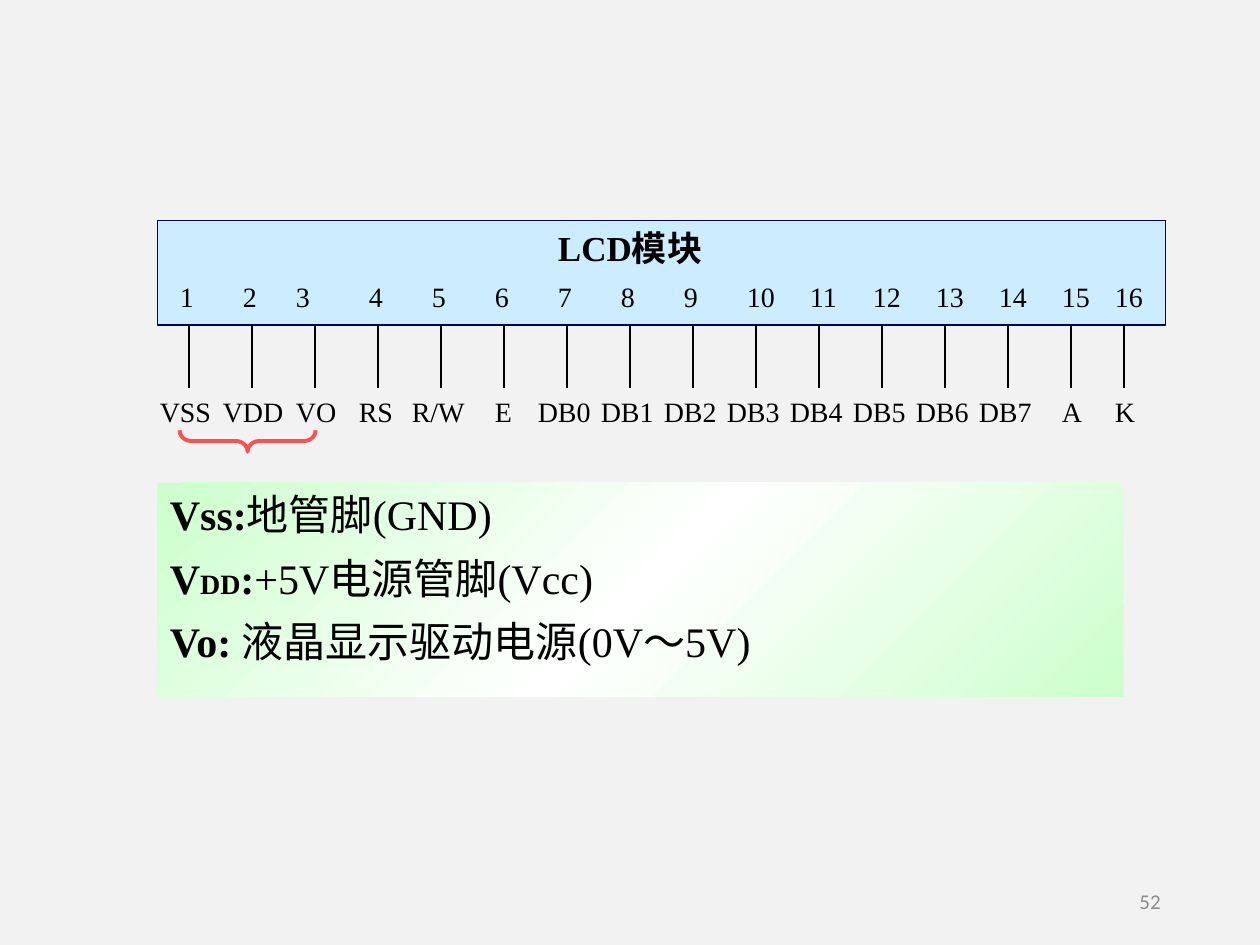
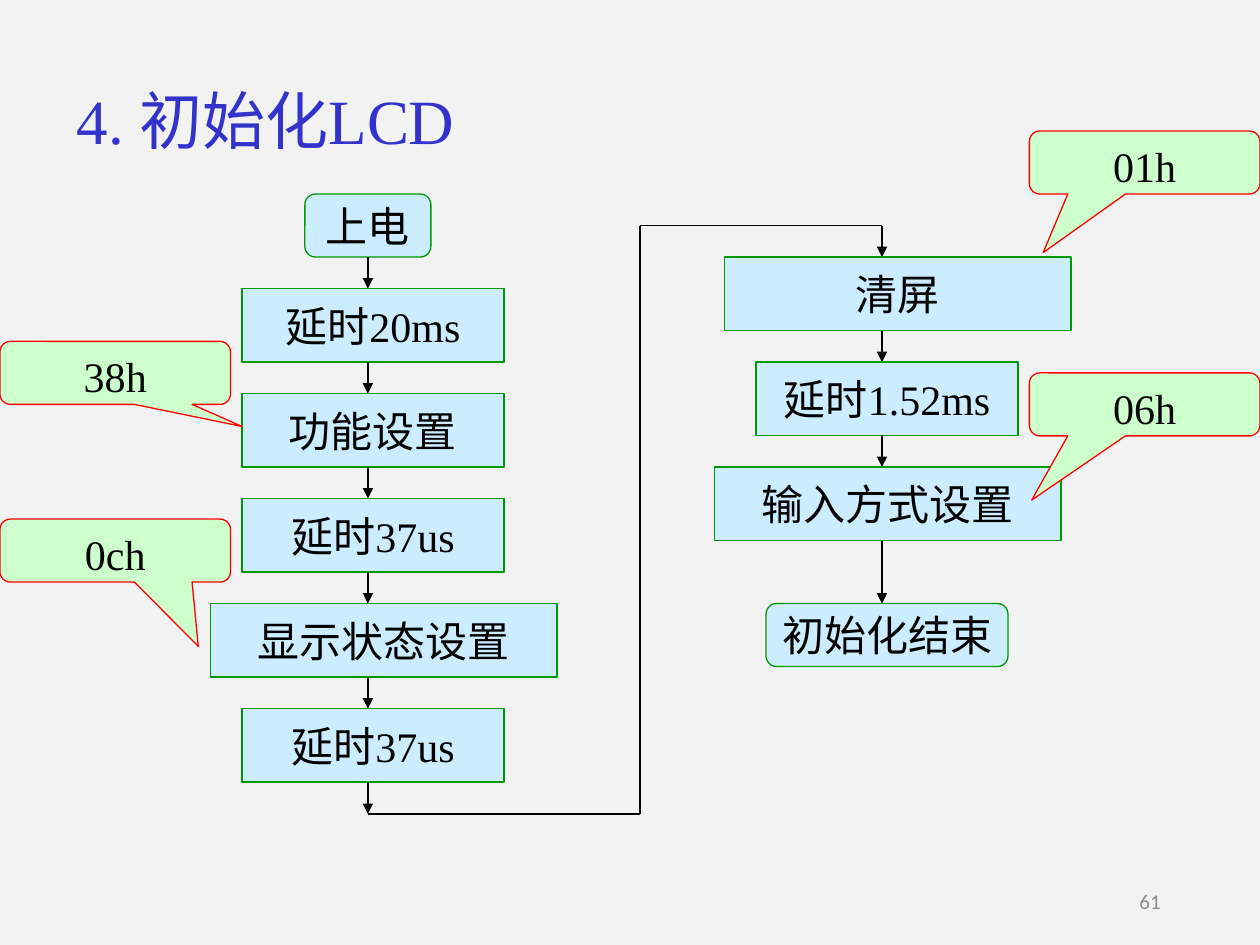
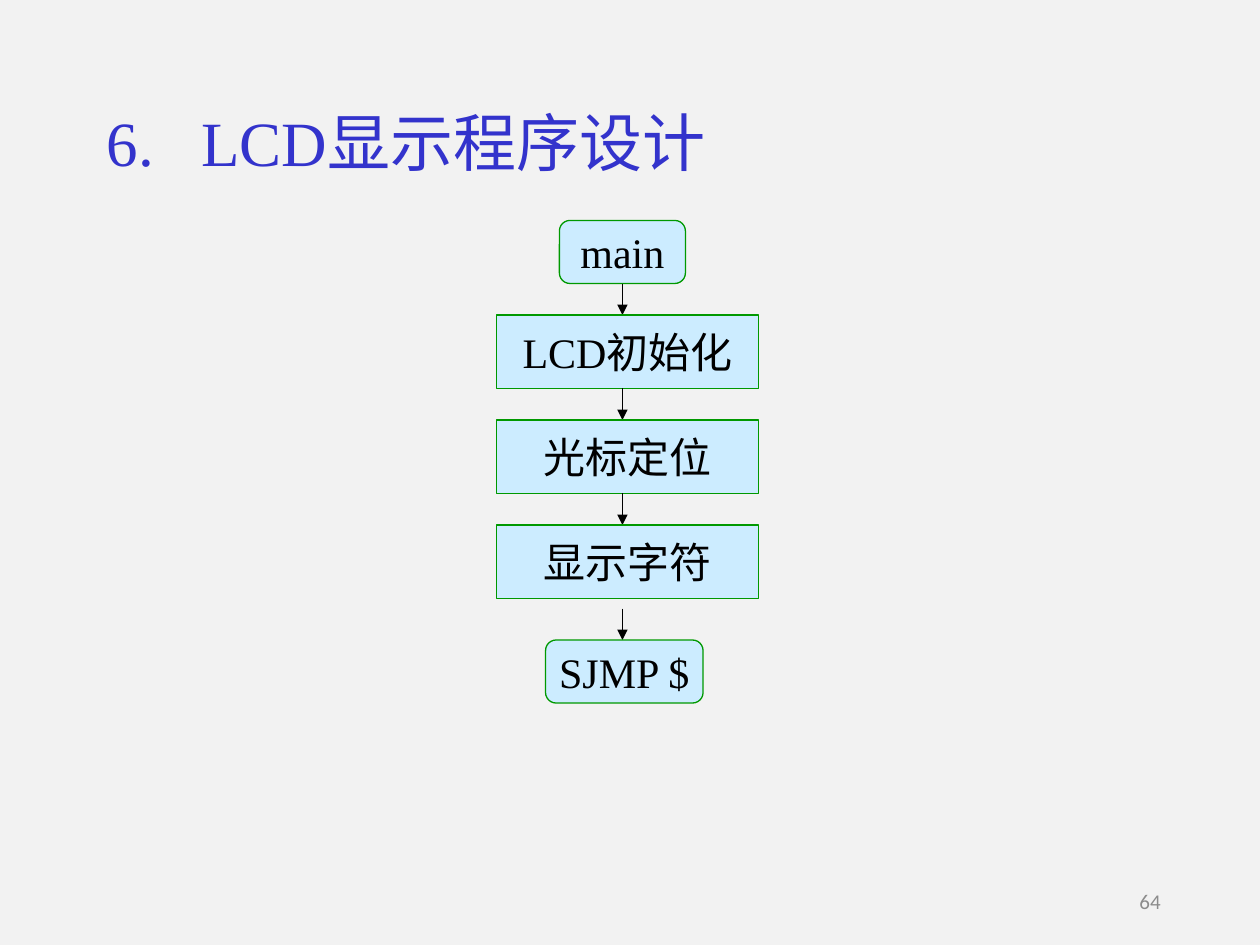
from copy import deepcopy
from dataclasses import dataclass

from lxml.etree import SubElement
from pptx import Presentation
from pptx.dml.color import RGBColor as RGB
from pptx.enum.shapes import MSO_CONNECTOR as Link, MSO_SHAPE as Kind
from pptx.enum.text import MSO_ANCHOR as Anchor, PP_ALIGN as Align
from pptx.oxml.ns import qn
from pptx.util import Inches, Pt


@dataclass(frozen=True)
class Theme:
    page: str = "F2F2F2"
    ink: str = "000000"
    head: str = "3333CC"
    gray: str = "8C8C8C"
    sky: str = "CCECFF"
    navy: str = "000066"
    green: str = "009900"
    mint: str = "CCFFCC"
    white: str = "FFFFFF"
    red: str = "FF0000"
    coral: str = "FF5050"
    serif: str = "Times New Roman"
    sans: str = "Calibri"
    title: int = 36
    body: int = 24
    label: int = 20
    pin: int = 16
    foot: int = 12
    thin: float = 0.75
    thick: float = 2.25


LOOK = Theme()
STEP = 7 / 12
PILL = 0.5
GAP = 0.25
NARROW = 2.08
WIDE = 2.75
BOLD = {"bold": True}


def write(shape, text, size=LOOK.body, color=LOOK.ink, font=LOOK.serif, bold=False,
          align=Align.LEFT, anchor=Anchor.TOP, wrap=True, before=0):
    frame = shape.text_frame
    frame.word_wrap = wrap
    frame.vertical_anchor = anchor
    lines = [[(text, {})]] if isinstance(text, str) else text
    for i, line in enumerate(lines):
        para = frame.add_paragraph() if i else frame.paragraphs[0]
        para.alignment = align
        para.space_before = Pt(before)
        for part, style in line:
            run = para.add_run()
            run.text = part
            run.font.name = font
            run.font.size = Pt(style.get("size", size))
            run.font.bold = style.get("bold", bold)
            run.font.color.rgb = RGB.from_string(color)


class Deck:
    def __init__(self, look):
        self.look = look
        self.show = Presentation()
        self.show.slide_width, self.show.slide_height = Inches(10), Inches(7.5)
        self.slide = None

    def page(self, number, title=None, left=0, top=0):
        self.slide = self.show.slides.add_slide(self.show.slide_layouts[6])
        fill = self.slide.background.fill
        fill.solid()
        fill.fore_color.rgb = RGB.from_string(self.look.page)
        self.text(str(number), 7.06, 6.95, 2.25, 0.4, size=self.look.foot, font=self.look.sans,
                  color=self.look.gray, align=Align.RIGHT, anchor=Anchor.MIDDLE)
        if title:
            self.text(title, left, top, 7.17, 0.7, size=self.look.title, color=self.look.head)

    def text(self, text, left, top, width, height, **style):
        box = self.slide.shapes.add_textbox(*map(Inches, (left, top, width, height)))
        write(box, text, **style)

    def shape(self, kind, left, top, width, height, fill=None, line=None, weight=LOOK.thin, adjust=()):
        shape = self.slide.shapes.add_shape(kind, *map(Inches, (left, top, width, height)))
        shape.shadow.inherit = False
        if fill:
            shape.fill.solid()
            shape.fill.fore_color.rgb = RGB.from_string(fill)
        else:
            shape.fill.background()
        if line:
            shape.line.color.rgb = RGB.from_string(line)
            shape.line.width = Pt(weight)
        else:
            shape.line.fill.background()
        for i, value in enumerate(adjust):
            shape.adjustments[i] = value
        return shape

    def blend(self, shape, edge, core):
        shape.fill.gradient()
        shape.fill.gradient_angle = 315
        first, last = shape.fill.gradient_stops
        first.color.rgb = last.color.rgb = RGB.from_string(core)
        stops = shape._element.spPr.find(qn("a:gradFill")).find(qn("a:gsLst"))
        stops.insert(1, deepcopy(stops[0]))
        for stop, (place, color) in zip(shape.fill.gradient_stops, ((0, edge), (0.5, core), (1, edge))):
            stop.position = place
            stop.color.rgb = RGB.from_string(color)

    def line(self, x1, y1, x2, y2, arrow=False, start=None):
        link = self.slide.shapes.add_connector(Link.STRAIGHT, *map(Inches, (x1, y1, x2, y2)))
        link.line.color.rgb = RGB.from_string(self.look.ink)
        link.line.width = Pt(self.look.thin)
        if start:
            link.begin_connect(start, 2)
        if arrow:
            SubElement(link.line._get_or_add_ln(), qn("a:tailEnd"), type="triangle")
        SubElement(link._element.spPr, qn("a:effectLst"))

    def arrow(self, axis, top, end, start=None):
        self.line(axis, top, axis, end, arrow=True, start=start)

    def node(self, text, left, top, width, height=STEP, kind=Kind.FLOWCHART_PROCESS):
        shape = self.shape(kind, left, top, width, height, self.look.sky, self.look.green)
        write(shape, text, align=Align.CENTER, anchor=Anchor.MIDDLE, wrap=False)
        return shape

    def pill(self, text, left, top, width):
        return self.node(text, left, top, width, PILL, Kind.FLOWCHART_ALTERNATE_PROCESS)

    def chain(self, axis, top, steps, start=None):
        for text, left, width in steps:
            self.arrow(axis, top - GAP, top, start)
            self.node(text, left, top, width)
            start = None
            top += STEP + GAP

    def note(self, text, left, top, tip):
        shape = self.shape(Kind.ROUNDED_RECTANGULAR_CALLOUT, left, top, 1.83, 0.5,
                           self.look.mint, self.look.red, adjust=tip)
        write(shape, text, align=Align.CENTER)


def pins(deck):
    deck.page(52)
    deck.shape(Kind.RECTANGLE, 1.25, 1.75, 8, 0.83, LOOK.sky, LOOK.navy)
    deck.text("LCD模块", 4.33, 1.75, 1.5, 0.43, size=LOOK.label, bold=True)

    names = ["VSS", "VDD", "VO", "RS", "R/W", "E", *(f"DB{i}" for i in range(8)), "A", "K"]
    shift = {"VO": 0.08, "RS": 0.08, "E": 0.16, "A": 0.16, "K": 0.08}
    for i, name in enumerate(names):
        x = 1.5 + 0.5 * i
        tick = x - 0.08 if name == "K" else x
        digit = x - 0.25 if name in ("VO", "K") else x - 0.17
        deck.text(str(i + 1), digit, 2.17, 0.58, 0.37, size=LOOK.pin)
        deck.line(tick, 2.58, tick, 3.08)
        deck.text(name, x - 0.33 + shift.get(name, 0), 3.08, 0.75, 0.37, size=LOOK.pin)

    brace = deck.shape(Kind.LEFT_BRACE, 1.88, 2.96, 0.17, 1.08, line=LOOK.coral,
                       weight=LOOK.thick, adjust=(0.54, 0.5))
    brace.rotation = 270
    panel = deck.shape(Kind.RECTANGLE, 1.25, 3.83, 7.67, 1.7)
    deck.blend(panel, LOOK.mint, LOOK.white)
    write(panel, [
        [("Vss:", BOLD), ("地管脚(GND)", {})],
        [("V", BOLD), ("DD", {"bold": True, "size": LOOK.pin}), (":", BOLD), ("+5V电源管脚(Vcc)", {})],
        [("Vo: ", BOLD), ("液晶显示驱动电源(0V～5V)", {})],
    ], before=7.5)


def setup(deck):
    deck.page(61, "4. 初始化LCD", 0.51, 0.6)
    axis, side, turn, low, high = 2.92, 7, 5.08, 6.46, 1.79
    power = deck.pill("上电", 2.42, 1.54, 1)
    deck.chain(axis, 2.29, [
        ("延时20ms", 1.92, NARROW),
        ("功能设置", 1.92, NARROW),
        ("延时37us", 1.92, NARROW),
        ("显示状态设置", 1.67, WIDE),
        ("延时37us", 1.92, NARROW),
    ], power)
    deck.arrow(axis, low - GAP, low)

    deck.line(axis, low, turn, low)
    deck.line(turn, low, turn, high)
    deck.line(turn, high, side, high)
    deck.chain(side, high + GAP, [
        ("清屏", 5.75, WIDE),
        ("延时1.52ms", 6, NARROW),
        ("输入方式设置", 5.67, WIDE),
    ])
    deck.pill("初始化结束", 6.08, 4.79, 1.92)
    deck.arrow(side, 4.29, 4.79)

    for text, left, top, tip in (
        ("38h", 0, 2.71, (0.55, 0.85)),
        ("0ch", 0, 4.12, (0.36, 1.52)),
        ("01h", 8.17, 1.04, (-0.44, 1.43)),
        ("06h", 8.17, 2.96, (-0.49, 1.52)),
    ):
        deck.note(text, left, top, tip)


def program(deck):
    deck.page(64, "6.   LCD显示程序设计", 0.75, 0.77)
    axis = 4.94
    entry = deck.pill("main", 4.44, 1.75, 1)
    steps = [(text, 3.94, NARROW) for text in ("LCD初始化", "光标定位", "显示字符")]
    deck.chain(axis, 2.5, steps, entry)
    deck.arrow(axis, 4.83, 5.08)
    deck.pill("SJMP $", 4.33, 5.08, 1.25)


def main():
    deck = Deck(LOOK)
    pins(deck)
    setup(deck)
    program(deck)
    deck.show.save("out.pptx")


if __name__ == "__main__":
    main()
